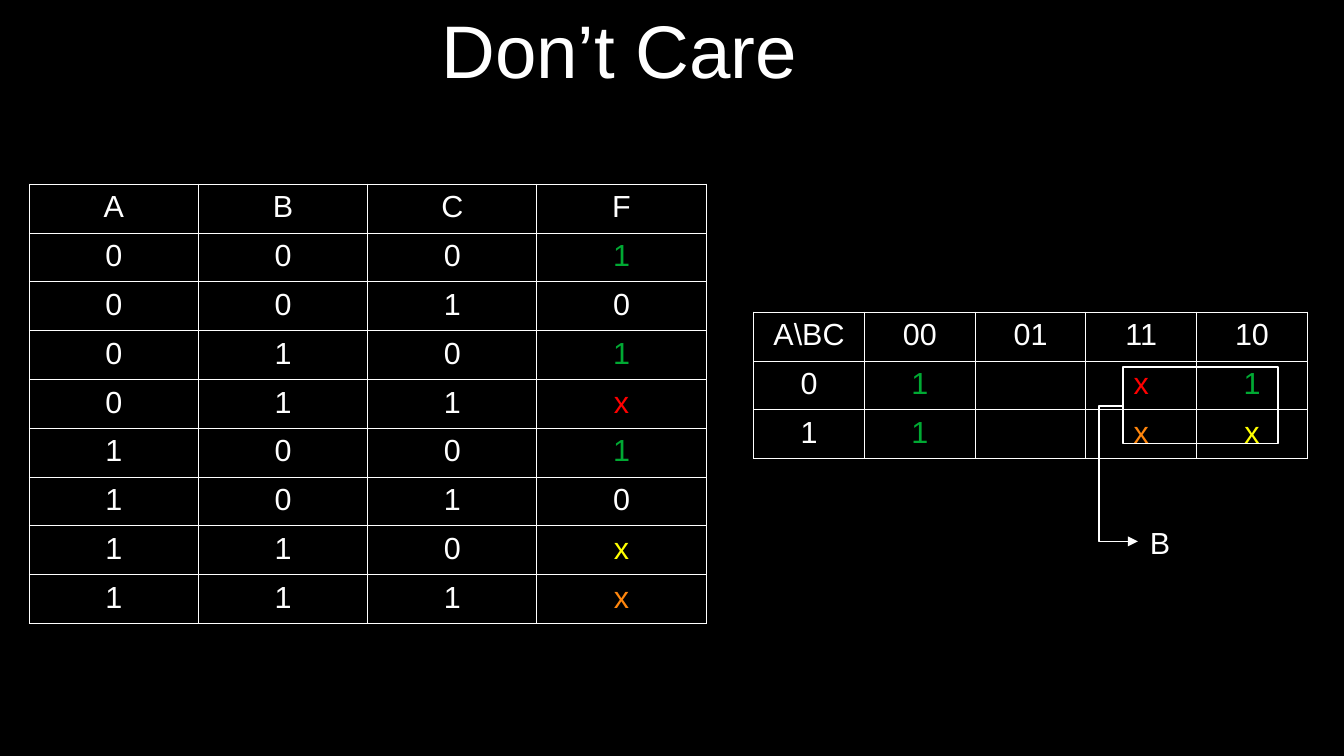
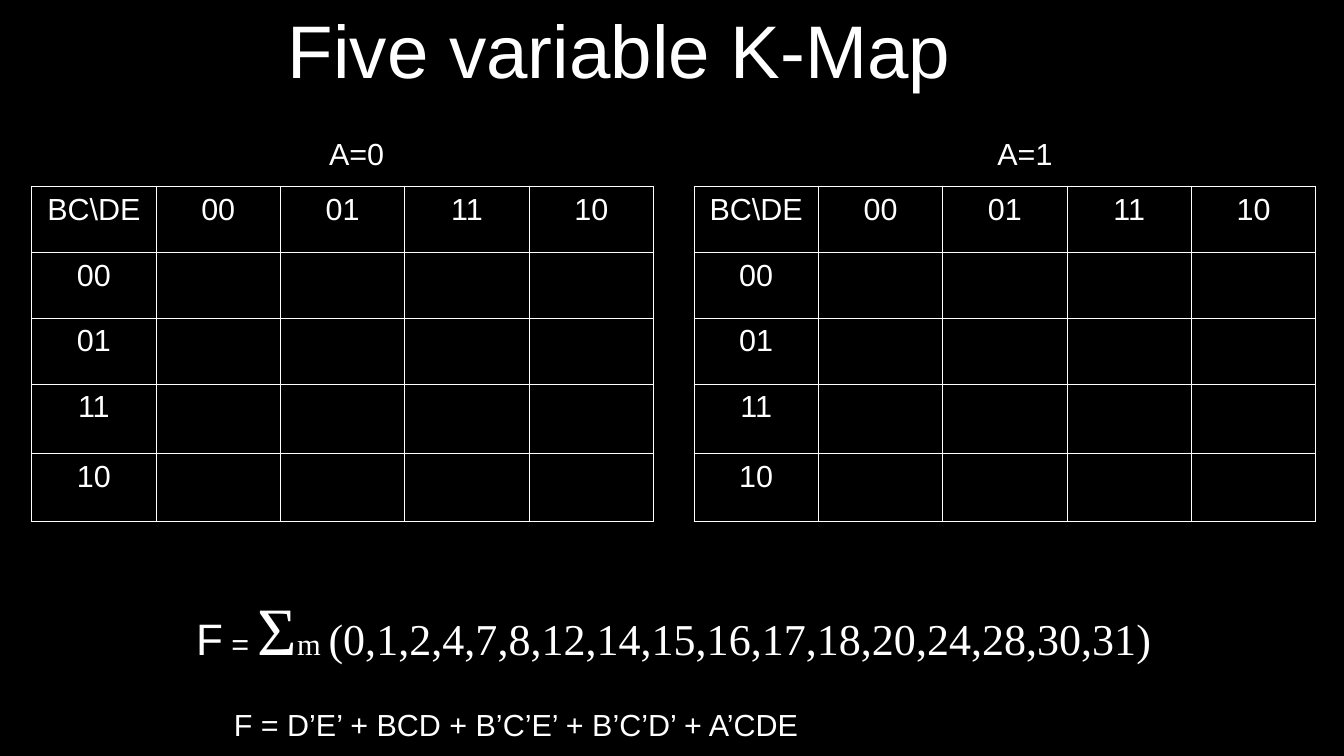
from dataclasses import dataclass
from itertools import product

from lxml.etree import SubElement
from pptx import Presentation
from pptx.dml.color import RGBColor
from pptx.enum.shapes import MSO_CONNECTOR, MSO_SHAPE
from pptx.enum.text import MSO_ANCHOR, MSO_AUTO_SIZE, PP_ALIGN
from pptx.oxml import parse_xml
from pptx.oxml.ns import nsdecls, qn
from pptx.util import Inches, Pt


@dataclass(frozen=True)
class Theme:
    """Colours, fonts, type sizes and line widths shared by the slides."""
    back: str = "000000"
    ink: str = "FFFFFF"
    green: str = "00A933"
    red: str = "FF0000"
    yellow: str = "FFFF00"
    orange: str = "FF860D"
    sans: str = "Arial"
    serif: str = "Times New Roman"
    title: float = 44
    sigma: float = 40
    formula: float = 26
    body: float = 18
    grid: float = 0.57
    stroke: float = 0.85


T = Theme()
GRAY = ("00", "01", "11", "10")
ONE = ("1", T.green)
OUTPUTS = {
    "000": ONE, "001": "0", "010": ONE, "011": ("x", T.red),
    "100": ONE, "101": "0", "110": ("x", T.yellow), "111": ("x", T.orange),
}
CELL = dict(margin_left=Inches(0.04), margin_right=Inches(0.04),
            margin_top=Inches(0.05), margin_bottom=Inches(0.05))
LABEL = dict(word_wrap=False, auto_size=MSO_AUTO_SIZE.SHAPE_TO_FIT_TEXT,
             margin_left=Inches(0.1), margin_right=Inches(0.1),
             margin_top=Inches(0.05), margin_bottom=Inches(0.05))
FORMULA = {**LABEL, "word_wrap": True}
TITLE = dict(word_wrap=True, vertical_anchor=MSO_ANCHOR.MIDDLE,
             margin_left=0, margin_right=0, margin_top=0, margin_bottom=0)


def apply(obj, values):
    """Set each named attribute on an object."""
    for name, value in values.items():
        setattr(obj, name, value)


def add_run(p, text, size=T.body, font=T.sans, color=T.ink):
    """Append one formatted run to a paragraph."""
    r = p.add_run()
    r.text = text
    apply(r.font, dict(size=Pt(size), name=font, bold=False))
    r.font.color.rgb = RGBColor.from_string(color)


def add_text(s, box, runs, frame=LABEL, align=PP_ALIGN.LEFT):
    """Add a text box holding one paragraph of runs."""
    tf = s.shapes.add_textbox(*map(Inches, box)).text_frame
    apply(tf, frame)
    p = tf.paragraphs[0]
    p.alignment = align
    for run in runs:
        add_run(p, *run)


def add_slide(prs, title):
    """Add a blank slide with the shared background and title."""
    s = prs.slides.add_slide(prs.slide_layouts[6])
    s.background.fill.solid()
    s.background.fill.fore_color.rgb = RGBColor.from_string(T.back)
    add_text(s, (0.16, 0.04, 9.84, 0.72), [(title, T.title)], TITLE, PP_ALIGN.CENTER)
    return s


def add_borders(cell):
    """Draw the four grid lines of a table cell."""
    tcPr = cell._tc.get_or_add_tcPr()
    for i, side in enumerate(("lnL", "lnR", "lnT", "lnB")):
        tcPr.insert(i, parse_xml(
            f'<a:{side} {nsdecls("a")} w="{Pt(T.grid)}"><a:solidFill>'
            f'<a:srgbClr val="{T.ink}"/></a:solidFill></a:{side}>'))


def add_grid(s, left, top, width, heights, rows):
    """Add a ruled table whose entries are text or (text, colour)."""
    n = len(rows[0])
    frame = s.shapes.add_table(len(rows), n, *map(Inches, (left, top, width, sum(heights))))
    table = frame.table
    apply(table, dict(first_row=False, horz_banding=False))
    for col in table.columns:
        col.width = Inches(width / n)
    for i, row in enumerate(rows):
        table.rows[i].height = Inches(heights[i])
        for j, entry in enumerate(row):
            cell = table.cell(i, j)
            apply(cell, CELL)
            cell.fill.background()
            add_borders(cell)
            text, color = entry if isinstance(entry, tuple) else (entry, T.ink)
            if text:
                p = cell.text_frame.paragraphs[0]
                p.alignment = PP_ALIGN.CENTER
                add_run(p, text, color=color)


def set_line(shape):
    """Give a shape or connector the shared stroke."""
    shape.line.color.rgb = RGBColor.from_string(T.ink)
    shape.line.width = Pt(T.stroke)


def add_group_box(s, box):
    """Outline a group of map cells."""
    sp = s.shapes.add_shape(MSO_SHAPE.RECTANGLE, *map(Inches, box))
    sp.shadow.inherit = False
    sp.fill.background()
    set_line(sp)


def add_elbow_arrow(s, start, end, bend_x):
    """Add an elbow arrow whose upright part stands at bend_x."""
    cxn = s.shapes.add_connector(MSO_CONNECTOR.ELBOW, *map(Inches, start + end))
    set_line(cxn)
    spPr = cxn._element.spPr
    ratio = (bend_x - start[0]) / (end[0] - start[0])
    SubElement(spPr.find(qn("a:prstGeom")).get_or_add_avLst(), qn("a:gd"),
               name="adj1", fmla=f"val {round(ratio * 100000)}")
    SubElement(cxn.line._get_or_add_ln(), qn("a:tailEnd"), type="triangle")
    SubElement(spPr, qn("a:effectLst"))


def map_entry(a, bc):
    """Return the map entry of a minterm, with zeros left empty."""
    out = OUTPUTS[a + bc]
    return "" if out == "0" else out


def build_dont_care(prs):
    """Build the truth table and its three variable map."""
    s = add_slide(prs, "Don’t Care")
    truth = [(*bits, OUTPUTS["".join(bits)]) for bits in product("01", repeat=3)]
    add_grid(s, 0.24, 1.51, 5.55, [0.38] * 9, [tuple("ABCF")] + truth)
    kmap = [(a, *(map_entry(a, bc) for bc in GRAY)) for a in "01"]
    add_grid(s, 6.18, 2.56, 4.54, [0.38] * 3, [("A\\BC", *GRAY)] + kmap)
    add_group_box(s, (9.21, 3.01, 1.27, 0.63))
    add_text(s, (9.33, 4.25, 0.36, 0.38), [("B",)])
    add_elbow_arrow(s, (9.21, 3.33), (9.33, 4.44), 9.01)


def build_five_variable(prs):
    """Build the paired empty maps and the formulas below them."""
    s = add_slide(prs, "Five variable K-Map")
    rows = [("BC\\DE", *GRAY)] + [(bc, "", "", "", "") for bc in GRAY]
    for left, label_left, label in ((0.26, 2.6, "A=0"), (5.69, 8.08, "A=1")):
        add_grid(s, left, 1.53, 5.1, [0.54, 0.54, 0.54, 0.57, 0.56], rows)
        add_text(s, (label_left, 1.06, 0.65, 0.38), [(label,)])
    add_text(s, (1.51, 4.77, 8.6, 0.71), [
        ("F", T.formula),
        (" = ",),
        ("Σ", T.sigma, T.serif),
        ("m ", T.body, T.serif),
        ("(0,1,2,4,7,8,12,14,15,16,17,18,20,24,28,30,31)", T.formula, T.serif),
    ], FORMULA)
    add_text(s, (1.82, 5.74, 5.2, 0.38),
             [("F = D’E’ + BCD + B’C’E’ + B’C’D’ + A’CDE",)], FORMULA)


def main():
    """Build and save the presentation."""
    prs = Presentation()
    apply(prs, dict(slide_width=Inches(11.02), slide_height=Inches(6.2)))
    build_dont_care(prs)
    build_five_variable(prs)
    prs.save("out.pptx")


if __name__ == "__main__":
    main()
